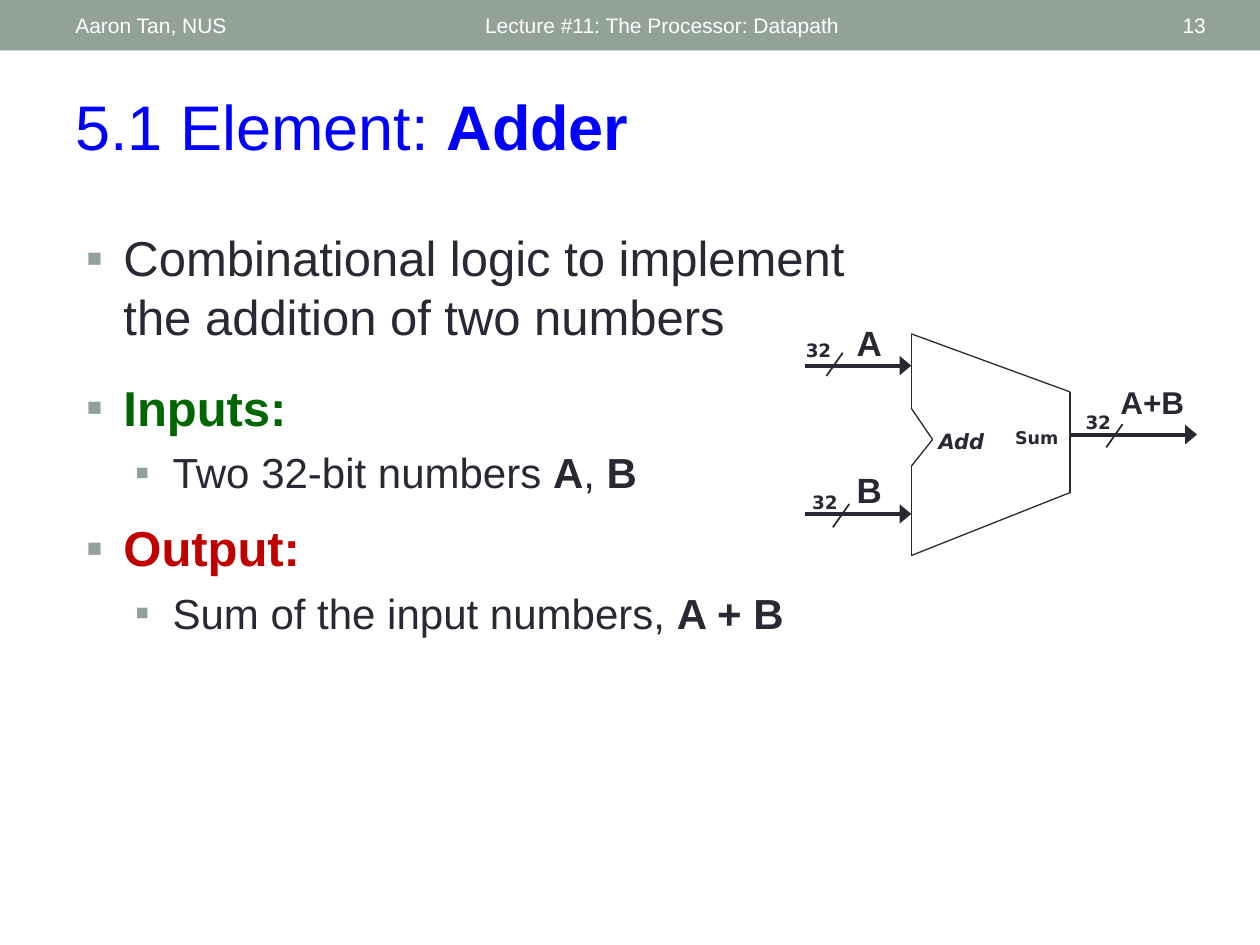
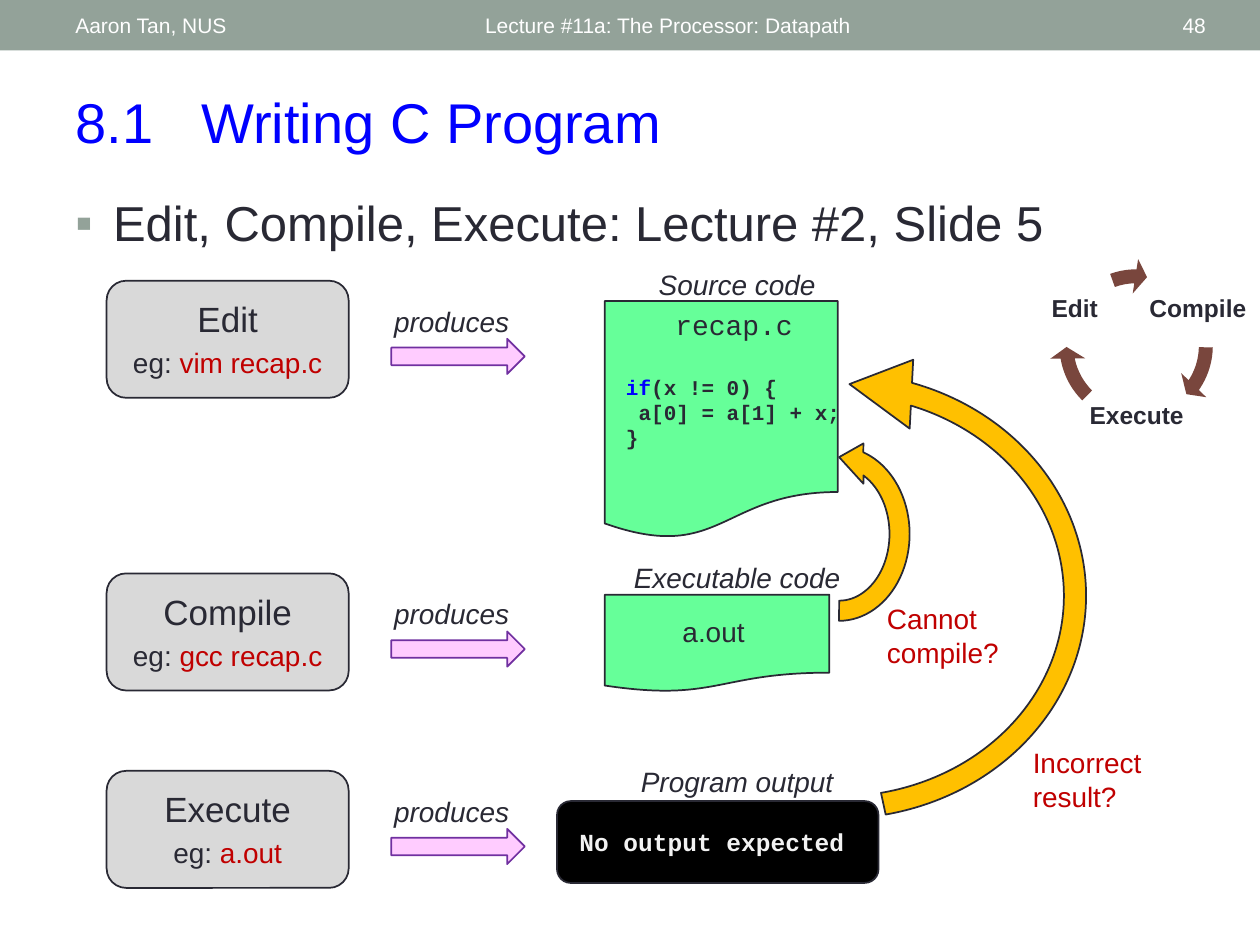
"""Build two lecture slides: the adder element and the C program cycle."""
import dataclasses
import itertools

import lxml.etree
import pptx
import pptx.dml.color
import pptx.enum.shapes
import pptx.enum.text
import pptx.oxml.ns
import pptx.util

Cm = pptx.util.Cm
Pt = pptx.util.Pt
RGBColor = pptx.dml.color.RGBColor
SHAPE = pptx.enum.shapes.MSO_SHAPE
ALIGN = pptx.enum.text.PP_ALIGN
ANCHOR = pptx.enum.text.MSO_ANCHOR
qn = pptx.oxml.ns.qn

SAGE = RGBColor(0x93, 0xA2, 0x99)
WHITE = RGBColor(0xFF, 0xFF, 0xFF)
BLACK = RGBColor(0x00, 0x00, 0x00)
BLUE = RGBColor(0x00, 0x00, 0xFF)
INK = RGBColor(0x29, 0x29, 0x34)
GREEN = RGBColor(0x00, 0x66, 0x00)
RED = RGBColor(0xC0, 0x00, 0x00)
BROWN = RGBColor(0x79, 0x46, 0x3D)
GREY = RGBColor(0xD9, 0xD9, 0xD9)
PINK = RGBColor(0xFF, 0xCC, 0xFF)
PURPLE = RGBColor(0x70, 0x30, 0xA0)
MINT = RGBColor(0x66, 0xFF, 0x99)
AMBER = RGBColor(0xFF, 0xC0, 0x00)
PALE = RGBColor(0xF2, 0xF2, 0xF2)


@dataclasses.dataclass
class Style:
    """Hold the look of a paragraph."""
    size: float
    color: RGBColor = INK
    name: str = "Arial"
    bold: bool = False
    italic: bool = False
    align: ALIGN = ALIGN.LEFT


HEADER = Style(12, WHITE)
PAGE_NUMBER = Style(12, WHITE, align=ALIGN.RIGHT)
POINT = Style(28)
SUBPOINT = Style(24)
BUS_LABEL = Style(10.5, name="DejaVu Sans", bold=True, align=ALIGN.CENTER)
STAGE = Style(20, align=ALIGN.CENTER)
DETAIL = Style(16, align=ALIGN.CENTER)
CAPTION = Style(16, italic=True, align=ALIGN.CENTER)
PROBLEM = Style(16, RED)
CYCLE_LABEL = Style(14, bold=True, align=ALIGN.CENTER)
CODE = Style(12, name="Courier New", bold=True)


def lengths(values):
    """Turn numbers in centimetres into lengths."""
    return [Cm(value) for value in values]


def write_paragraph(paragraph, content, style):
    """Write a string, or (text, bold, color) runs, in one style."""
    paragraph.alignment = style.align
    font = paragraph.font
    font.size, font.name = Pt(style.size), style.name
    font.bold, font.italic = style.bold, style.italic
    font.color.rgb = style.color
    runs = [(content, None, None)] if isinstance(content, str) else content
    for text, bold, color in runs:
        run = paragraph.add_run()
        run.text = text
        if bold is not None:
            run.font.bold = bold
        if color is not None:
            run.font.color.rgb = color


def add_text(slide, box, content, style, anchor=ANCHOR.TOP, wrap=True):
    """Add a text box with one paragraph and return its frame."""
    frame = slide.shapes.add_textbox(*lengths(box)).text_frame
    frame.word_wrap = wrap
    frame.vertical_anchor = anchor
    write_paragraph(frame.paragraphs[0], content, style)
    return frame


def add_bullets(slide, box, items):
    """Add bulleted (content, style, indent, space before) paragraphs."""
    frame = slide.shapes.add_textbox(*lengths(box)).text_frame
    frame.word_wrap = True
    for number, (content, style, indent, space) in enumerate(items):
        paragraph = frame.add_paragraph() if number else frame.paragraphs[0]
        if number:
            paragraph.space_before = Pt(space)
        properties = paragraph._p.get_or_add_pPr()
        properties.set("marL", str(Cm(indent)))
        properties.set("indent", str(-Cm(0.76)))
        color = lxml.etree.SubElement(properties, qn("a:buClr"))
        lxml.etree.SubElement(color, qn("a:srgbClr"), val=str(SAGE))
        lxml.etree.SubElement(properties, qn("a:buFont"), typeface="Arial")
        lxml.etree.SubElement(properties, qn("a:buChar"), char="▪")
        write_paragraph(paragraph, content, style)


def add_filled(slide, kind, box, fill, line=None):
    """Add a preset shape with a plain fill and an optional outline."""
    shape = slide.shapes.add_shape(kind, *lengths(box))
    shape.shadow.inherit = False
    shape.fill.solid()
    shape.fill.fore_color.rgb = fill
    if line is None:
        shape.line.fill.background()
    else:
        shape.line.color.rgb = line
        shape.line.width = Pt(1)
    return shape


def set_arc(shape, *values):
    """Set a circular arrow's thickness, head angle, end, start and head width."""
    for index, value in enumerate(values):
        shape.adjustments[index] = value


def add_return_arrow(slide, box):
    """Add a circular arrow leading back up to an earlier result."""
    shape = add_filled(slide, SHAPE.CIRCULAR_ARROW, box, AMBER, INK)
    shape.rotation = 270
    shape.element.spPr.xfrm.set("flipV", "1")
    return shape


def add_line(slide, start, end, width, arrow=False):
    """Add a straight line, with a wide arrowhead at its end if asked."""
    line = slide.shapes.add_connector(
        pptx.enum.shapes.MSO_CONNECTOR.STRAIGHT, *lengths(start + end))
    line.line.color.rgb = INK
    line.line.width = Pt(width)
    properties = line.element.spPr
    if arrow:
        outline = properties.find(qn("a:ln"))
        lxml.etree.SubElement(outline, qn("a:tailEnd"), type="triangle", w="lg")
    lxml.etree.SubElement(properties, qn("a:effectLst"))


def add_bus_width(slide, x, y):
    """Mark a signal as 32 bits wide with a slash and a label."""
    add_line(slide, (x, y), (x - 0.33, y + 0.47), 1)
    add_text(slide, (x - 1.01, y - 0.39, 1.04, 0.71), "32", BUS_LABEL, wrap=False)


def add_base(presentation, lecture, number, title, title_size):
    """Add a slide with its header band and title."""
    slide = presentation.slides.add_slide(presentation.slide_layouts[6])
    add_filled(slide, SHAPE.RECTANGLE, (0, 0, 25.4, 1.02), SAGE)
    for left, width, text, style in (
            (9.53, 11.43, lecture, HEADER),
            (1.27, 8.05, "Aaron Tan, NUS", HEADER),
            (22.15, 2.41, number, PAGE_NUMBER)):
        add_text(slide, (left, 0.05, width, 0.91), text, style, ANCHOR.MIDDLE)
    add_text(slide, (1.27, 1.63, 22.86, 1.8), title, Style(title_size, BLUE))
    return slide


def add_adder(slide):
    """Draw the adder with its inputs and its output."""
    for box, text, size in (
            ((16.99, 6.48, 1.07, 0.84), "A", 20),
            ((16.99, 9.45, 1.07, 0.84), "B", 20),
            ((22.28, 7.69, 1.9, 0.84), "A+B", 18)):
        style = Style(size, bold=True, align=ALIGN.CENTER)
        add_text(slide, box, text, style, ANCHOR.MIDDLE)
    left, right = 18.37, 21.57
    corners = [(left, 6.73), (right, 7.9), (right, 9.93), (left, 11.2),
               (left, 9.4), (18.8, 8.86), (left, 8.23), (left, 6.73)]
    for start, end in itertools.pairwise(corners):
        add_line(slide, start, end, 0.75)
    for start, end, y in ((16.23, left, 7.37), (16.23, left, 10.36),
                          (right, 24.13, 8.76)):
        add_line(slide, (start, y), (end, y), 2.25, arrow=True)
    add_text(slide, (20.2, 8.48, 1.4, 0.69), "Sum",
             dataclasses.replace(BUS_LABEL, size=10), wrap=False)
    add_text(slide, (18.67, 8.51, 1.42, 0.76), "Add",
             dataclasses.replace(BUS_LABEL, size=12, italic=True), wrap=False)
    for x, y in ((16.99, 7.11), (17.12, 10.16), (22.63, 8.55)):
        add_bus_width(slide, x, y)


def add_cycle(slide):
    """Draw the small edit, compile and execute cycle."""
    for text, box, end, start in (
            ("Compile", (23.11, 5.51, 2.08, 1.47), 20.56, 0.67),
            ("Execute", (21.9, 7.67, 2.03, 1.47), 101.75, 80.84),
            ("Edit", (20.93, 5.51, 1.47, 1.47), 161.63, 150.08)):
        frame = add_text(slide, box, text, CYCLE_LABEL, ANCHOR.MIDDLE, wrap=False)
        frame.margin_left = frame.margin_right = Cm(0.05)
        frame.margin_top = frame.margin_bottom = Cm(0.05)
        frame.paragraphs[0].line_spacing = 0.9
        arrow = add_filled(slide, SHAPE.CIRCULAR_ARROW,
                           (21.15, 5.22, 3.51, 3.51), BROWN)
        set_arc(arrow, 0.08, 5.76, end, start, 0.1)


def add_stage(slide, top, name, command):
    """Add a stage card and the arrow to what it produces."""
    left, width = 2.15, 4.88
    add_filled(slide, SHAPE.RIGHT_ARROW, (7.89, top + 1.17, 2.69, 0.71), PINK, PURPLE)
    add_text(slide, (7.62, top + 0.35, 2.97, 0.94), "produces", CAPTION)
    add_filled(slide, SHAPE.ROUNDED_RECTANGLE, (left, top, width, 2.36), GREY, INK)
    add_text(slide, (left, top + 0.22, width, 1.12), name, STAGE)
    add_text(slide, (left, top + 1.18, width, 0.94),
             [("eg: ", None, None), (command, None, RED)], DETAIL)


def add_products(slide):
    """Draw the source code, the executable and the program output."""
    document = SHAPE.FLOWCHART_DOCUMENT
    add_filled(slide, document, (12.19, 6.07, 4.7, 4.8), MINT, INK)
    add_filled(slide, document, (12.19, 11.99, 4.53, 1.96), MINT, INK)
    add_filled(slide, SHAPE.ROUNDED_RECTANGLE, (11.23, 16.15, 6.48, 1.65), BLACK, INK)
    for left, top, width, text in (
            (12.83, 5.26, 4.06, "Source code"),
            (12.42, 11.18, 4.88, "Executable code"),
            (12.42, 15.29, 4.88, "Program output")):
        add_text(slide, (left, top, width, 0.94), text, CAPTION)
    add_text(slide, (12.57, 12.27, 3.63, 0.94), "a.out", DETAIL)
    add_text(slide, (11.43, 16.54, 6, 0.86), "No output expected",
             dataclasses.replace(CODE, size=14, color=PALE))


def add_returns(slide):
    """Draw the two ways back to the source code."""
    loop = add_return_arrow(slide, (11.94, 6.55, 9.93, 10.92))
    set_arc(loop, 0.045, 10.16, 204.08, 115.28, 0.07)
    add_text(slide, (20.57, 14.91, 3.58, 1.91), "Incorrect result?", PROBLEM)
    add_return_arrow(slide, (14.96, 9.14, 3.91, 3.25))
    add_text(slide, (17.63, 12.01, 3.23, 2.06), "Cannot compile?", PROBLEM)


def add_listing(slide):
    """Write the source file's name and code."""
    frame = add_text(slide, (12.37, 6.07, 4.86, 3.18), "recap.c",
                     dataclasses.replace(DETAIL, name="Courier New"))
    for number, content in enumerate((
            [("if", None, BLUE), ("(x != 0) {", None, None)],
            " a[0] = a[1] + x;", "}")):
        paragraph = frame.add_paragraph()
        if number == 0:
            paragraph.space_before = Pt(19)
        write_paragraph(paragraph, content, CODE)


def main():
    """Build and save the slides."""
    presentation = pptx.Presentation()
    presentation.slide_width, presentation.slide_height = Cm(25.4), Cm(19.05)

    adder = add_base(presentation, "Lecture #11: The Processor: Datapath", "13",
                     [("5.1 Element: ", None, None), ("Adder", True, None)], 36)
    add_bullets(adder, (1.48, 4.47, 17.2, 10.26), [
        ("Combinational logic to implement the addition of two numbers",
         POINT, 0.76, 0),
        ([("Inputs:", True, GREEN)], POINT, 0.76, 18),
        ([("Two 32-bit numbers ", None, None), ("A", True, None),
          (", ", None, None), ("B", True, None)], SUBPOINT, 1.75, 6),
        ([("Output:", True, RED)], POINT, 0.76, 12),
        ([("Sum of the input numbers, ", None, None), ("A + B", True, None)],
         SUBPOINT, 1.75, 6)])
    add_adder(adder)

    program = add_base(presentation, "Lecture #11a: The Processor: Datapath", "48",
                       "8.1\tWriting C Program", 32)
    add_bullets(program, (1.27, 3.76, 22.58, 14.12), [
        ("Edit, Compile, Execute: Lecture #2, Slide 5", POINT, 0.76, 0)])
    add_cycle(program)
    for top, name, command in ((5.66, "Edit", "vim recap.c"),
                               (11.56, "Compile", "gcc recap.c"),
                               (15.54, "Execute", "a.out")):
        add_stage(program, top, name, command)
    add_products(program)
    add_returns(program)
    add_listing(program)
    presentation.save("out.pptx")


if __name__ == "__main__":
    main()
